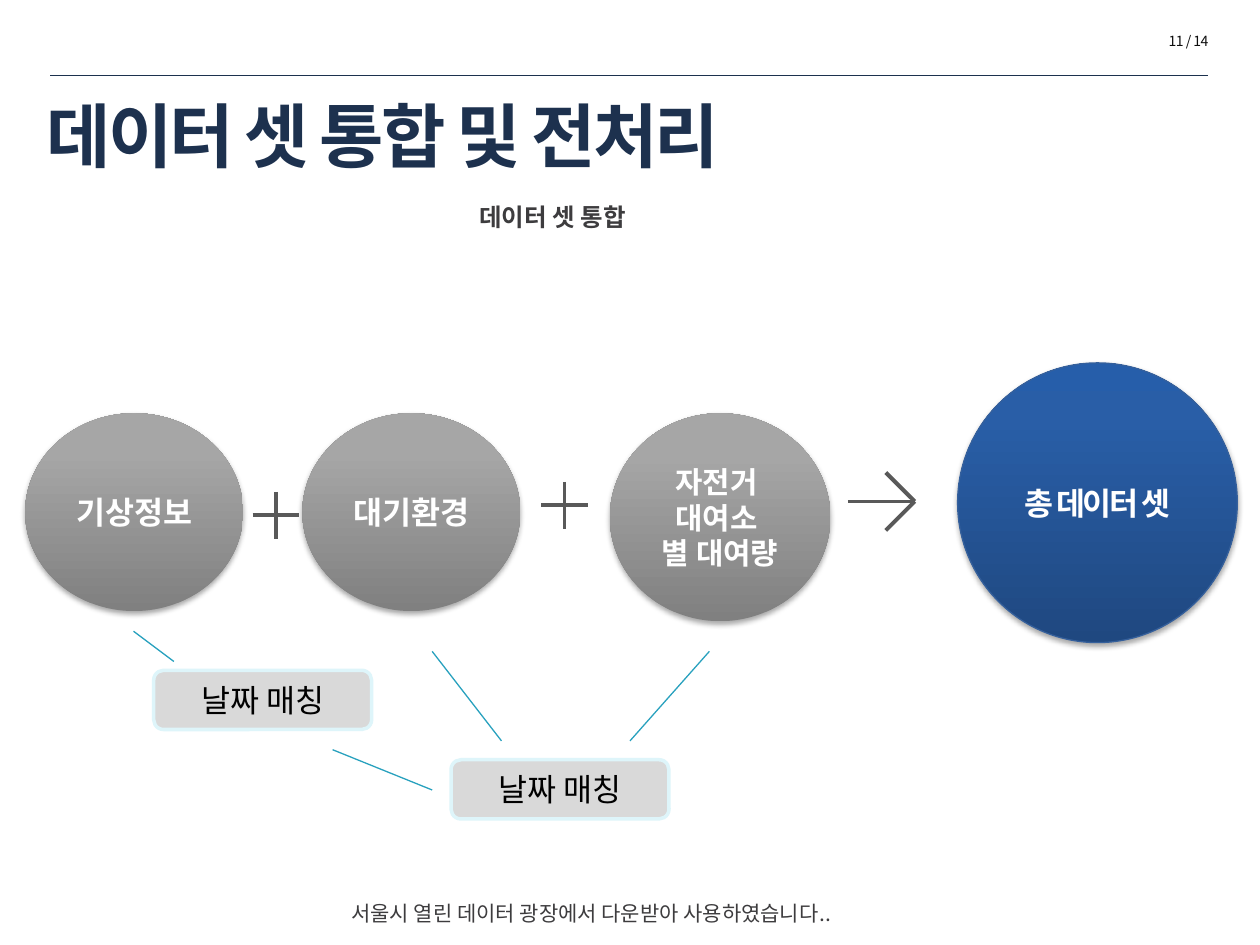
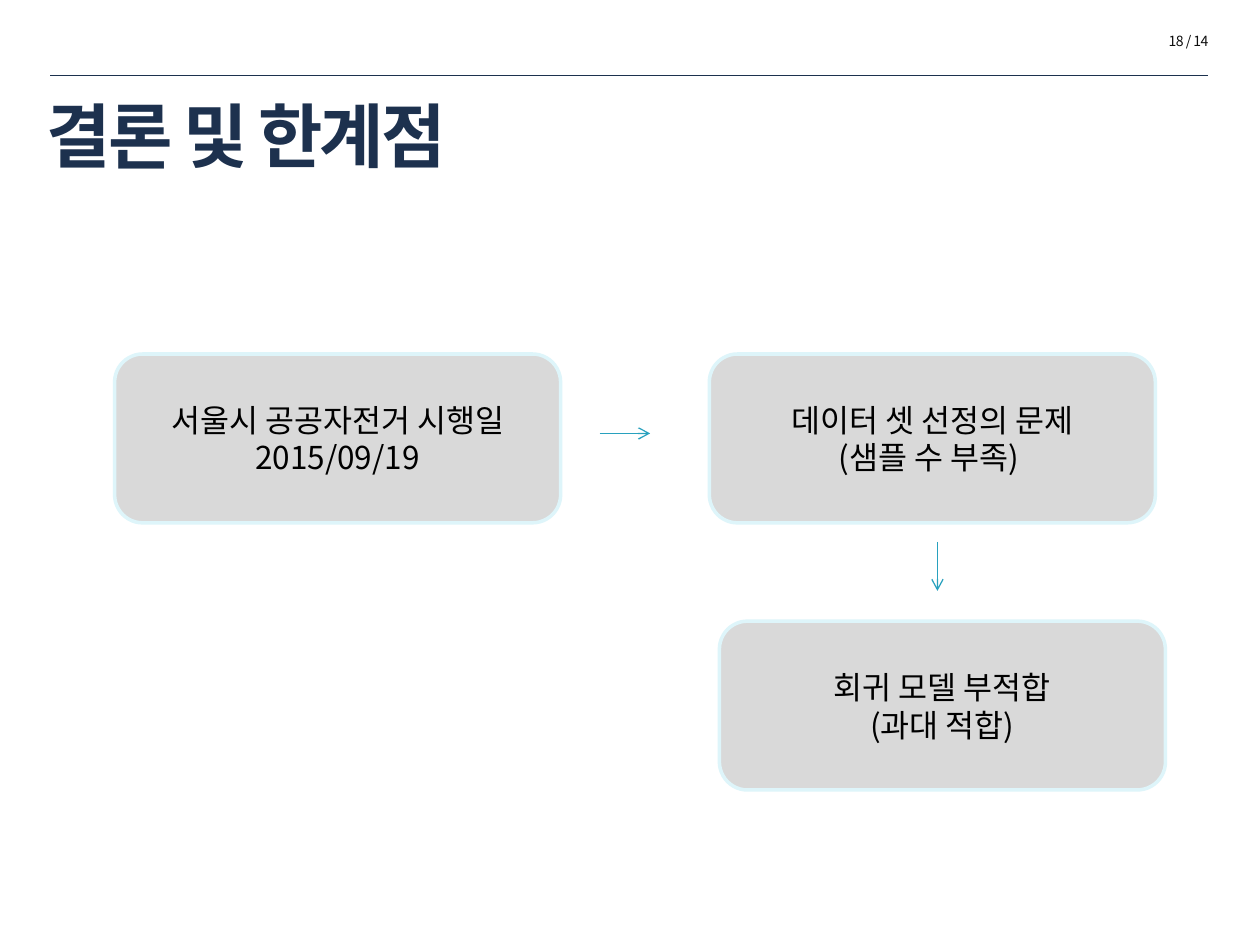
"""Builds two slides on merging data sets and on the limits found."""
from copy import deepcopy

from lxml import etree
from pptx import Presentation
from pptx.dml.color import RGBColor
from pptx.enum.shapes import MSO_CONNECTOR, MSO_SHAPE
from pptx.enum.text import MSO_ANCHOR, PP_ALIGN
from pptx.oxml.ns import qn
from pptx.util import Inches, Pt

LINE = MSO_CONNECTOR.STRAIGHT
OVAL, ROUND = MSO_SHAPE.OVAL, MSO_SHAPE.ROUNDED_RECTANGLE
LEFT, MID, RIGHT = PP_ALIGN.LEFT, PP_ALIGN.CENTER, PP_ALIGN.RIGHT
TOP, CENTER = MSO_ANCHOR.TOP, MSO_ANCHOR.MIDDLE

FACE = "Noto Sans CJK KR"
COLORS = {
    "title": "1D314E", "rule": "1C314E", "page": "0D0D0D", "body": "3D3C3E",
    "white": "FFFFFF", "black": "000000", "sign": "595959", "link": "28A1BE",
    "box": "D9D9D9", "edge": "DEF5FA", "rim": "35609C",
}
GRAY = [(0, "808080"), (0.8, "A6A6A6")]
BLUE = [(0, "1F4880"), (0.8, "295EA7"), (1, "265EAA")]

STYLES = {
    "title": {"size": 40, "bold": True, "color": "title", "gap": -1.5},
    "page": {"size": 8, "bold": False, "color": "page", "gap": -0.3},
    "head": {"size": 14, "bold": True, "color": "body", "gap": 0},
    "note": {"size": 12, "bold": False, "color": "body", "gap": 0},
    "disc": {"size": 18, "bold": True, "color": "white", "gap": 0},
    "small": {"size": 17, "bold": True, "color": "white", "gap": 0},
    "total": {"size": 18, "bold": True, "color": "white", "gap": -1.2},
    "box": {"size": 18, "bold": False, "color": "black", "gap": 0},
}

MERGE = {
    "title": "데이터 셋 통합 및 전처리",
    "page": "11 / 14",
    "texts": [
        ((3.66, 1.55, 2.06, 0.71), " 데이터 셋 통합", "head"),
        ((2.69, 7.1, 7.31, 0.4),
         "서울시 열린 데이터 광장에서 다운받아 사용하였습니다..", "note"),
    ],
    "discs": [
        ((0.2, 3.28, 1.73, 1.57), ["기상정보"], "disc", GRAY, None),
        ((2.4, 3.28, 1.73, 1.57), ["대기환경"], "disc", GRAY, None),
        ((4.84, 3.28, 1.75, 1.65), ["자전거 ", "대여소 ", "별 대여량"],
         "small", GRAY, None),
        ((7.6, 2.88, 2.22, 2.22), ["총 데이터 셋"], "total", BLUE, "rim"),
    ],
    "pluses": [(2.19, 4.09), (4.48, 4.01)],
    "arrows": [(7.26, 3.98)],
    "size": (1.73, 0.47),
    "boxes": [((1.22, 5.32), ["날짜 매칭"]), ((3.58, 6.03), ["날짜 매칭"])],
    "links": [(5.63, 5.17, 5, 5.88), (3.43, 5.17, 3.98, 5.88),
              (1.06, 5.01, 1.38, 5.25), (2.64, 5.95, 3.43, 6.27)],
    "tip": False,
}
LIMITS = {
    "title": "결론 및 한계점",
    "page": "18 / 14",
    "size": (3.54, 1.34),
    "boxes": [
        ((0.91, 2.81), ["서울시 공공자전거 시행일", "2015/09/19"]),
        ((5.63, 2.81), ["데이터 셋 선정의 문제", "(샘플 수 부족) "]),
        ((5.71, 4.93), ["회귀 모델 부적합", "(과대 적합)"]),
    ],
    "links": [(4.76, 3.44, 5.16, 3.44), (7.44, 4.3, 7.44, 4.69)],
    "tip": True,
}


def rgb(name):
    return RGBColor.from_string(COLORS.get(name, name))


def write(shape, lines, style, align=MID, anchor=CENTER):
    frame, look = shape.text_frame, STYLES[style]
    frame.word_wrap = True
    frame.vertical_anchor = anchor
    frame.text = "\n".join(lines)
    form = {"name": FACE, "size": Pt(look["size"]), "bold": look["bold"]}
    for para in frame.paragraphs:
        para.alignment = align
        for run in para.runs:
            for key, value in form.items():
                setattr(run.font, key, value)
            run.font.color.rgb = rgb(look["color"])
            props = run.font._element
            props.set("spc", str(round(look["gap"] * 100)))
            etree.SubElement(props, qn("a:ea")).set("typeface", FACE)


def label(slide, area, text, style, align=LEFT, anchor=TOP):
    box = slide.shapes.add_textbox(*map(Inches, area))
    write(box, [text], style, align, anchor)


def stroke(slide, ends, color, width, tip=False):
    line = slide.shapes.add_connector(LINE, *map(Inches, ends))
    line.line.color.rgb = rgb(color)
    line.line.width = Pt(width)
    if tip:
        etree.SubElement(line.line._ln, qn("a:tailEnd")).set("type", "arrow")
    etree.SubElement(line._element.spPr, qn("a:effectLst"))


def shade(shape):
    effects = shape._element.spPr.find(qn("a:effectLst"))
    cast = etree.SubElement(effects, qn("a:outerShdw"), blurRad="40000",
                            dist="23000", dir="5400000", rotWithShape="0")
    tint = etree.SubElement(cast, qn("a:srgbClr"), val=COLORS["black"])
    etree.SubElement(tint, qn("a:alpha"), val="35000")


def blend(shape, stops):
    fill = shape.fill
    fill.gradient()
    fill.gradient_angle = 90
    group = shape._element.spPr.find(".//" + qn("a:gsLst"))
    while len(group) < len(stops):
        group.append(deepcopy(group[-1]))
    for stop, (place, color) in zip(fill.gradient_stops, stops):
        stop.position = place
        stop.color.rgb = rgb(color)


def disc(slide, area, lines, style, stops, rim):
    shape = slide.shapes.add_shape(OVAL, *map(Inches, area))
    shape.shadow.inherit = False
    blend(shape, stops)
    if rim:
        shape.line.color.rgb = rgb(rim)
        shape.line.width = Pt(0.75)
    else:
        shape.line.fill.background()
    shade(shape)
    write(shape, lines, style)


def card(slide, spot, size, lines):
    shape = slide.shapes.add_shape(ROUND, *map(Inches, spot + size))
    shape.shadow.inherit = False
    shape.fill.solid()
    shape.fill.fore_color.rgb = rgb("box")
    shape.line.color.rgb = rgb("edge")
    shape.line.width = Pt(2)
    write(shape, lines, "box")


def plus(slide, x, y, arm=0.185):
    for dx, dy in ((arm, 0), (0, arm)):
        stroke(slide, (x - dx, y - dy, x + dx, y + dy), "sign", 2.25)


def arrow(slide, x, y, wing=0.23, shaft=0.53):
    for dx, dy in ((wing, -wing), (wing, wing), (shaft, 0)):
        stroke(slide, (x - dx, y + dy, x, y), "sign", 2.25)


def build(deck, data):
    slide = deck.slides.add_slide(deck.slide_layouts[6])
    stroke(slide, (0.4, 0.6, 9.59, 0.6), "rule", 0.25)
    label(slide, (7.96, 0.21, 1.73, 0.24), data["page"], "page", RIGHT)
    label(slide, (0.27, 0.6, 9.28, 0.94), data["title"], "title", LEFT, CENTER)
    for draw, key in ((label, "texts"), (disc, "discs"),
                      (plus, "pluses"), (arrow, "arrows")):
        for item in data.get(key, []):
            draw(slide, *item)
    for spot, lines in data["boxes"]:
        card(slide, spot, data["size"], lines)
    for ends in data["links"]:
        stroke(slide, ends, "link", 0.75, data["tip"])


def main():
    deck = Presentation()
    deck.slide_width, deck.slide_height = Inches(10), Inches(7.5)
    for data in (MERGE, LIMITS):
        build(deck, data)
    deck.save("out.pptx")


if __name__ == "__main__":
    main()
